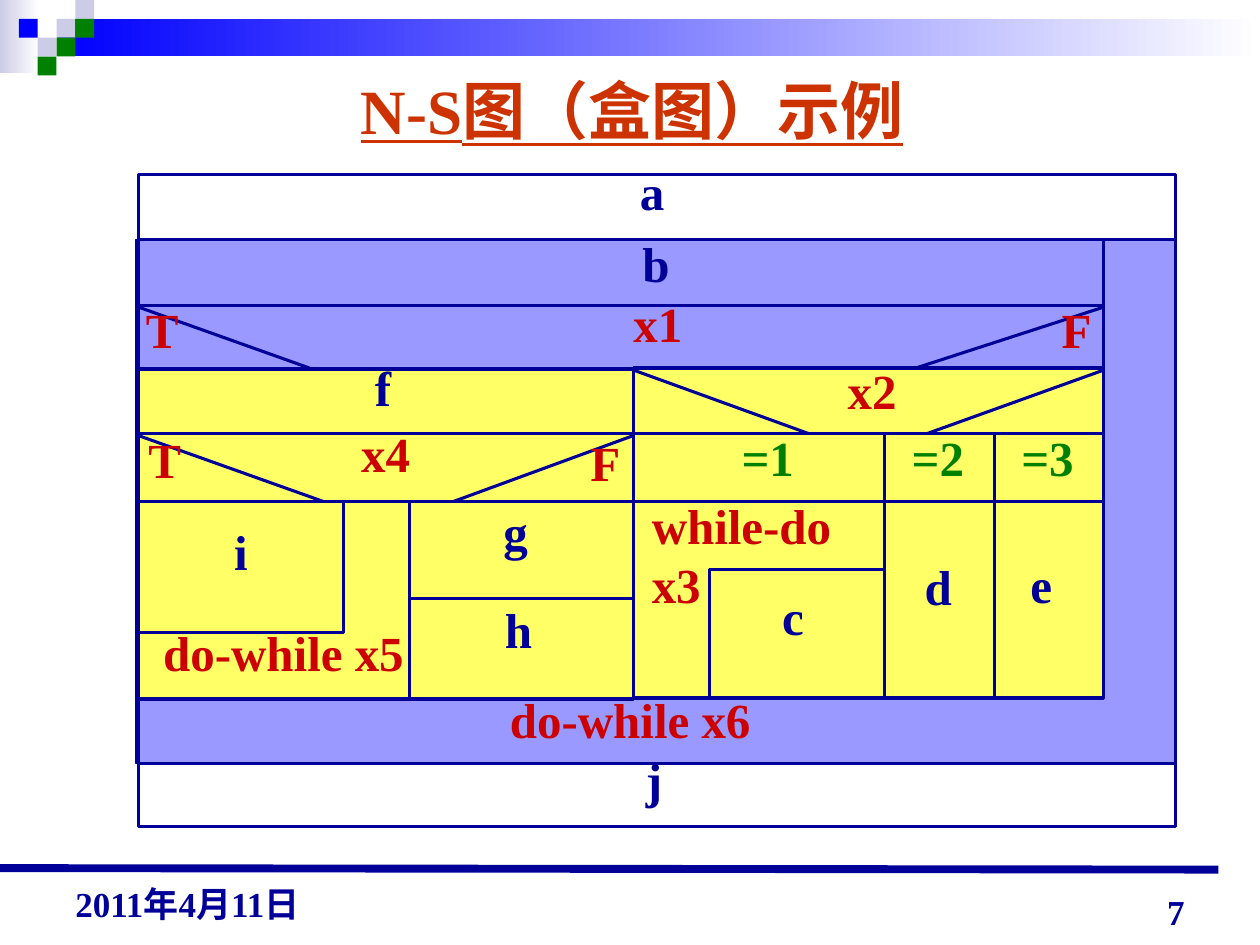
import pptx
import pptx.dml.color
import pptx.enum.shapes
import pptx.enum.text
import pptx.oxml
import pptx.util

Cm = pptx.util.Cm
Pt = pptx.util.Pt
ALIGN = pptx.enum.text.PP_ALIGN
RECTANGLE = pptx.enum.shapes.MSO_SHAPE.RECTANGLE
FONT = "Times New Roman"
COLORS = {
    "white": "FFFFFF", "pale": "CCCCE6", "blue": "0000FF", "green": "008000",
    "navy": "000099", "red": "CC0000", "title": "CC3300",
    "loop": "9999FF", "branch": "FFFF66",
}


def rgb(name):
    return pptx.dml.color.RGBColor.from_string(COLORS[name])


def add_rectangle(shapes, left, top, width, height, fill=None, line_width=None):
    shape = shapes.add_shape(RECTANGLE, Cm(left), Cm(top), Cm(width), Cm(height))
    shape.shadow.inherit = False
    if fill:
        shape.fill.solid()
        shape.fill.fore_color.rgb = rgb(fill)
    else:
        shape.fill.background()
    if line_width:
        shape.line.color.rgb = rgb("navy")
        shape.line.width = Pt(line_width)
    else:
        shape.line.fill.background()
    return shape


def fade_to_white(shape, color):
    """Fill with the colour at the left, fading to white at the right."""
    shape.fill.gradient()
    shape.fill.gradient_angle = 180
    for stop, name, position in zip(shape.fill.gradient_stops, ("white", color), (0, 1)):
        stop.color.rgb = rgb(name)
        stop.position = position


def add_line(shapes, x1, y1, x2, y2, width=1.75):
    line = shapes.add_connector(
        pptx.enum.shapes.MSO_CONNECTOR.STRAIGHT, Cm(x1), Cm(y1), Cm(x2), Cm(y2))
    line.line.color.rgb = rgb("navy")
    line.line.width = Pt(width)
    effects = pptx.oxml.parse_xml(
        '<a:effectLst xmlns:a="http://schemas.openxmlformats.org/drawingml/2006/main"/>')
    line._element.spPr.append(effects)


def add_text(shapes, text, left, top, width, height, color="navy", size=28,
             align=ALIGN.LEFT, wrap=False, bottom=False, underline=None):
    box = shapes.add_textbox(Cm(left), Cm(top), Cm(width), Cm(height))
    frame = box.text_frame
    frame.word_wrap = wrap
    if not wrap:
        frame.auto_size = pptx.enum.text.MSO_AUTO_SIZE.SHAPE_TO_FIT_TEXT
    if bottom:
        frame.vertical_anchor = pptx.enum.text.MSO_ANCHOR.BOTTOM
    for index, content in enumerate(text.split("\n")):
        paragraph = frame.add_paragraph() if index else frame.paragraphs[0]
        paragraph.alignment = align
        run = paragraph.add_run()
        run.text = content
        run.font.name = FONT
        run.font.size = Pt(size)
        run.font.bold = True
        run.font.underline = underline
        run.font.color.rgb = rgb(color)


def add_header(slide, left, top, width):
    shapes = slide.shapes.add_group_shape().shapes
    fade_to_white(add_rectangle(shapes, left, top, 0.79, 1.47), "pale")
    fade_to_white(add_rectangle(shapes, left + 1.14, top + 0.38, width - 1.14, 0.76), "blue")
    cell = 0.38
    for column, row, color in (
            (3, 1, "pale"), (4, 0, "pale"), (4, 1, "green"), (2, 2, "pale"),
            (1, 1, "blue"), (3, 2, "green"), (2, 3, "green")):
        add_rectangle(shapes, left + column * cell, top + row * cell, cell, cell, color)


def add_title(slide, left, top, width, height):
    add_text(slide.shapes, "N-S图（盒图）示例", left, top, width, height, "title", 36,
             ALIGN.RIGHT, wrap=True, underline=True)


def add_box_diagram(slide, left, top, width, height):
    shapes = slide.shapes.add_group_shape().shapes
    # Row boundaries from the top, column boundaries from the left
    loop, x1_row, x2_row, case_row, body, h_row, loop_end, j_row = (
        1.32, 2.64, 3.91, 5.23, 6.6, 8.56, 10.57, 11.89)
    g_column, middle, case_2, case_3, inner = 5.46, 9.98, 15.04, 17.25, 19.46

    def block(x, y, right, bottom, fill=None, line_width=1.75):
        add_rectangle(shapes, left + x, top + y, right - x, bottom - y, fill, line_width)

    def rule(x1, y1, x2, y2):
        add_line(shapes, left + x1, top + y1, left + x2, top + y2)

    block(-0.05, loop, width, j_row, "loop", 0.75)
    block(0, x2_row + 0.05, middle, loop_end + 0.05, "branch", 0.75)
    block(middle, x2_row - 0.03, inner, loop_end - 0.03, "branch", 0.75)
    block(0, 0, width, height)
    block(0, loop, inner, loop_end)
    block(0, body, 4.14, 9.25)
    block(11.51, 7.98, case_2, loop_end)

    for y, right in ((loop, width), (j_row, width), (x1_row, inner), (x2_row, inner),
                     (case_row, inner), (body, inner)):
        rule(0, y, right, y)
    for x, y in ((middle, x2_row), (case_2, case_row), (case_3, case_row), (g_column, body)):
        rule(x, y, x, loop_end)
    rule(g_column, h_row, middle, h_row)

    # Condition boxes: outer corners slope down to the inner feet
    for x, right, y, bottom, left_foot, right_foot in (
            (0, inner, x1_row, x2_row, 3.45, 15.67),
            (middle, inner, x2_row, case_row, 13.51, 15.9),
            (0, middle, case_row, body, 3.73, 6.35)):
        rule(x, y + 0.04, left_foot, bottom)
        rule(right, y + 0.04, right_foot, bottom)

    labels = {
        "red": (("do-while x6", 7.24, 10.26, 5.36), ("x1", 9.73, 2.29, 1.5),
                ("T", -0.1, 2.41, 1.17), ("T", -0.05, 5.03, 1.17),
                ("F", 18.36, 2.41, 1.12), ("F", 8.86, 5.08, 1.12),
                ("x2", 14.05, 3.63, 1.5), ("x4", 4.24, 4.9, 1.5),
                ("do-while x5", 0.25, 8.92, 5.36), ("while-do\nx3", 10.1, 6.35, 4.12)),
        "navy": (("a", 9.86, -0.38, 0.99), ("b", 9.91, 1.07, 1.04), ("f", 4.52, 3.58, 0.84),
                 ("g", 7.11, 6.48, 0.99), ("i", 1.68, 6.88, 0.79), ("h", 7.14, 8.46, 1.04),
                 ("d", 15.6, 7.59, 1.04), ("e", 17.73, 7.54, 0.94), ("c", 12.73, 8.18, 0.94),
                 ("j", 9.98, 11.48, 0.84)),
        "green": (("=1", 11.91, 4.98, 1.65), ("=2", 15.34, 4.98, 1.65),
                  ("=3", 17.55, 4.98, 1.65)),
    }
    for color, entries in labels.items():
        for text, x, y, label_width in entries:
            label_height = 1.45 + 1.19 * text.count("\n")
            add_text(shapes, text, left + x, top + y, label_width, label_height, color)


def add_footer(slide, left, top, width):
    add_line(slide.shapes, left, top, left + width, top + 0.03, 4.5)
    add_text(slide.shapes, "7", left + 18.21, top + 0.15, 5.92, 1.27, size=20,
             align=ALIGN.RIGHT, wrap=True, bottom=True)
    add_text(slide.shapes, "2011年4月11日", left + 1.27, top - 0.05, 5.92, 1.32, size=20,
             wrap=True, bottom=True)


def main():
    presentation = pptx.Presentation()
    presentation.slide_width = Cm(25.4)
    presentation.slide_height = Cm(19.05)
    slide = presentation.slides.add_slide(presentation.slide_layouts[6])
    add_header(slide, 0, 0, 25.4)
    add_title(slide, 6.5, 1.32, 11.96, 1.78)
    add_box_diagram(slide, 2.79, 3.51, 20.9, 13.16)
    add_footer(slide, 0, 17.5, 24.56)
    presentation.save("out.pptx")


if __name__ == "__main__":
    main()
